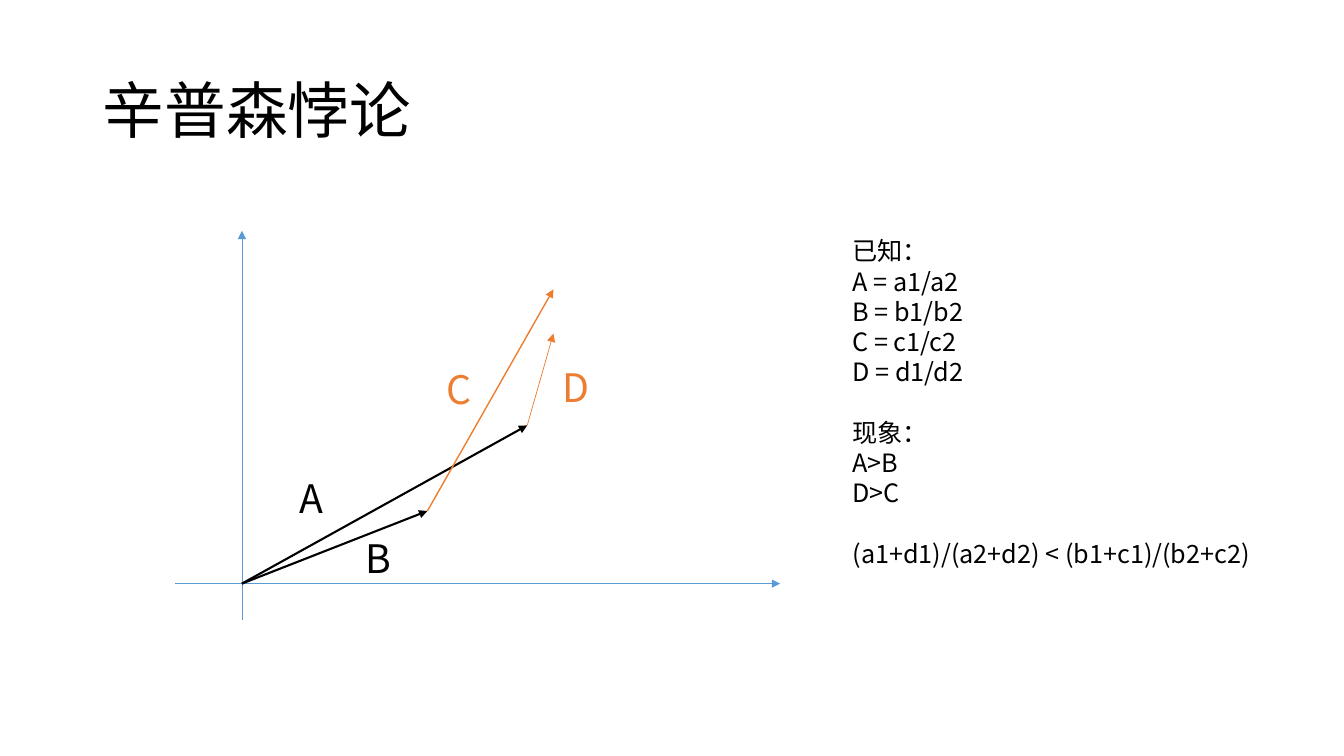
from dataclasses import dataclass
from typing import NamedTuple

from lxml import etree
from pptx import Presentation
from pptx.dml.color import RGBColor
from pptx.enum.shapes import MSO_CONNECTOR
from pptx.enum.text import MSO_ANCHOR, MSO_AUTO_SIZE, PP_ALIGN
from pptx.oxml.ns import qn
from pptx.slide import Slide
from pptx.text.text import TextFrame
from pptx.util import Inches, Pt

STRAIGHT = MSO_CONNECTOR.STRAIGHT
MIDDLE, TOP = MSO_ANCHOR.MIDDLE, MSO_ANCHOR.TOP
LEFT, CENTER = PP_ALIGN.LEFT, PP_ALIGN.CENTER
NO_AUTOFIT = MSO_AUTO_SIZE.NONE
TITLE_ONLY = 5
WIDTH, HEIGHT = Inches(13.33), Inches(7.5)


@dataclass(frozen=True)
class Theme:
    font: str = "Noto Sans CJK SC"
    ink: RGBColor = RGBColor(0x00, 0x00, 0x00)
    axis: RGBColor = RGBColor(0x5B, 0x9B, 0xD5)
    accent: RGBColor = RGBColor(0xED, 0x7D, 0x31)
    title_size: int = 44
    label_size: int = 28
    body_size: int = 18
    line_pitch: float = 1.2
    thin: float = 0.5
    medium: float = 1
    thick: float = 1.5


THEME = Theme()


class Point(NamedTuple):
    """A place in percent of the slide's width and height."""
    x: float
    y: float


class Area(NamedTuple):
    """A rectangle in percent of the slide's width and height."""
    x: float
    y: float
    width: float
    height: float


class Arrow(NamedTuple):
    start: Point
    end: Point
    color: RGBColor
    weight: float


class Label(NamedTuple):
    text: str
    corner: Point
    color: RGBColor


ORIGIN = Point(18, 77.2)
TIP_A = Point(39.23, 56.27)
TIP_B = Point(31.8, 67.6)
TIP_C = Point(41.18, 38.27)
TIP_D = Point(41.18, 44.13)

ARROWS = [
    Arrow(Point(13.05, ORIGIN.y), Point(58.05, ORIGIN.y), THEME.axis, THEME.thin),
    Arrow(Point(ORIGIN.x, 82), Point(ORIGIN.x, 30.53), THEME.axis, THEME.thin),
    Arrow(ORIGIN, TIP_B, THEME.ink, THEME.thick),
    Arrow(ORIGIN, TIP_A, THEME.ink, THEME.thick),
    Arrow(TIP_B, TIP_C, THEME.accent, THEME.medium),
    Arrow(TIP_A, TIP_D, THEME.accent, THEME.thin),
]
LABELS = [
    Label("A", Point(20.63, 62.13), THEME.ink),
    Label("B", Point(25.65, 70), THEME.ink),
    Label("C", Point(31.65, 47.73), THEME.accent),
    Label("D", Point(40.35, 47.47), THEME.accent),
]
LABEL_WIDTH, LABEL_HEIGHT = 5.03, 7.6
TITLE_AREA = Area(6.9, 5.33, 86.25, 19.33)
NOTES_AREA = Area(62.7, 30.53, 32.1, 49.87)
NOTE_GROUPS = [
    ["已知：", "A = a1/a2", "B = b1/b2", "C = c1/c2", "D = d1/d2"],
    ["现象：", "A>B", "D>C"],
    ["(a1+d1)/(a2+d2) < (b1+c1)/(b2+c2)"],
]


def across(share: float) -> int:
    return round(WIDTH * share / 100)


def down(share: float) -> int:
    return round(HEIGHT * share / 100)


def format_text(frame: TextFrame, size: int, color: RGBColor,
                align: PP_ALIGN, anchor: MSO_ANCHOR, spacing: float | Pt) -> None:
    frame.word_wrap = True
    frame.auto_size = NO_AUTOFIT
    frame.vertical_anchor = anchor
    for para in frame.paragraphs:
        para.alignment = align
        para.line_spacing = spacing
        for span in para.runs:
            span.font.name = THEME.font
            span.font.size = Pt(size)
            span.font.color.rgb = color
            east_asian = etree.SubElement(span.font._element, qn("a:ea"))
            east_asian.set("typeface", THEME.font)


def add_title(page: Slide, text: str) -> None:
    title = page.shapes.title
    title.left, title.top = across(TITLE_AREA.x), down(TITLE_AREA.y)
    title.width, title.height = across(TITLE_AREA.width), down(TITLE_AREA.height)
    title.text_frame.text = text
    format_text(title.text_frame, THEME.title_size, THEME.ink, LEFT, MIDDLE, 0.9)


def add_text(page: Slide, area: Area, text: str, size: int,
             color: RGBColor, align: PP_ALIGN) -> TextFrame:
    box = page.shapes.add_textbox(across(area.x), down(area.y),
                                  across(area.width), down(area.height))
    box.text_frame.text = text
    format_text(box.text_frame, size, color, align, TOP, Pt(size * THEME.line_pitch))
    return box.text_frame


def add_arrow(page: Slide, arrow: Arrow) -> None:
    line = page.shapes.add_connector(
        STRAIGHT, across(arrow.start.x), down(arrow.start.y),
        across(arrow.end.x), down(arrow.end.y))
    line.line.color.rgb = arrow.color
    line.line.width = Pt(arrow.weight)
    etree.SubElement(line.line._get_or_add_ln(), qn("a:tailEnd")).set("type", "triangle")
    etree.SubElement(line._element.spPr, qn("a:effectLst"))


def add_notes(page: Slide) -> None:
    """Write the note groups, with one line's space before each later group."""
    text = "\n".join(line for group in NOTE_GROUPS for line in group)
    frame = add_text(page, NOTES_AREA, text, THEME.body_size, THEME.ink, LEFT)
    openers = {group[0] for group in NOTE_GROUPS[1:]}
    for para in frame.paragraphs:
        if para.text in openers:
            para.space_before = Pt(THEME.body_size * THEME.line_pitch)


def main() -> None:
    deck = Presentation()
    deck.slide_width, deck.slide_height = WIDTH, HEIGHT
    page = deck.slides.add_slide(deck.slide_layouts[TITLE_ONLY])
    add_title(page, "辛普森悖论")
    for arrow in ARROWS:
        add_arrow(page, arrow)
    for label in LABELS:
        area = Area(*label.corner, LABEL_WIDTH, LABEL_HEIGHT)
        add_text(page, area, label.text, THEME.label_size, label.color, CENTER)
    add_notes(page)
    deck.save("out.pptx")


if __name__ == "__main__":
    main()
